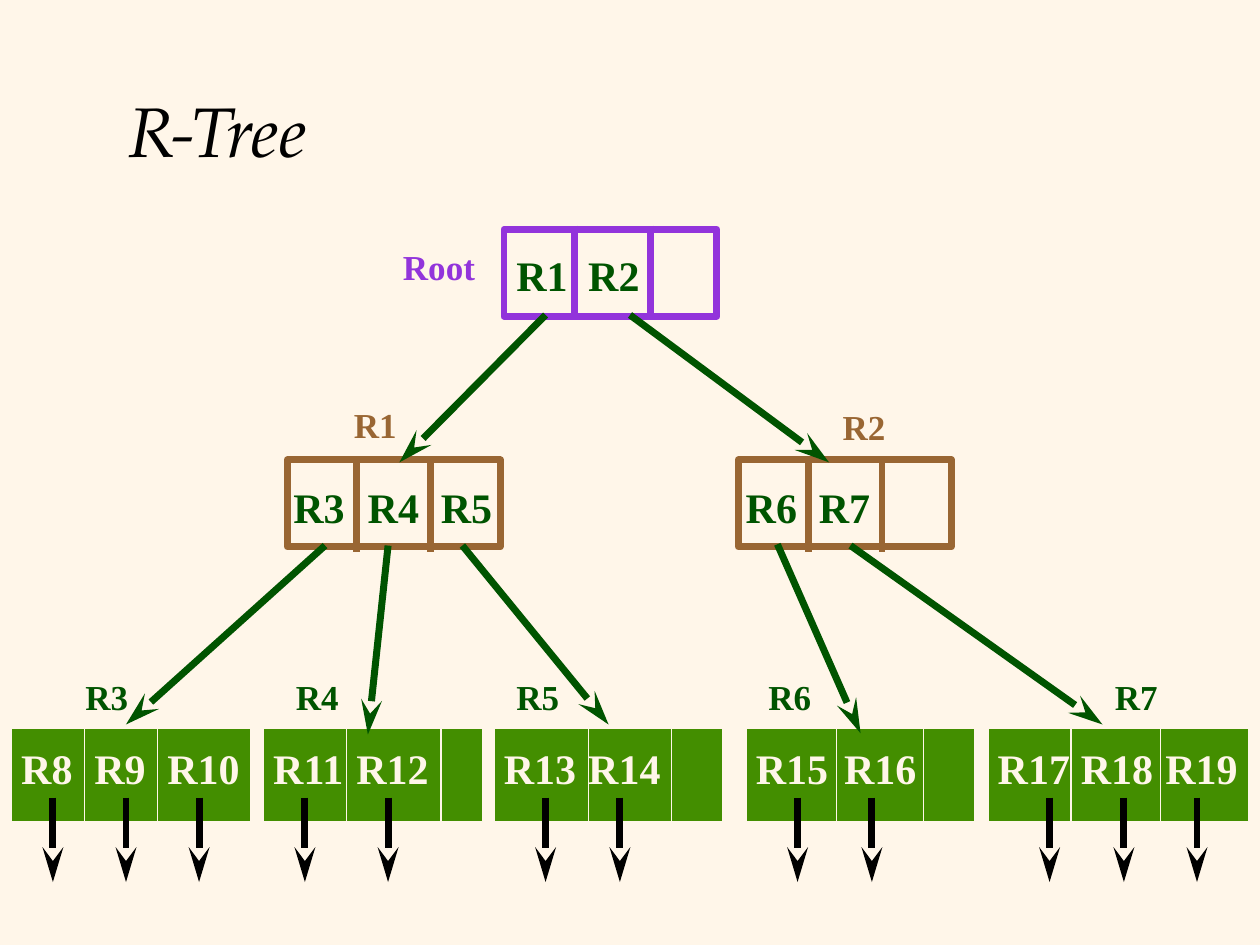
from dataclasses import dataclass

from lxml import etree
from pptx import Presentation
from pptx.dml.color import RGBColor
from pptx.enum.shapes import MSO_CONNECTOR, MSO_SHAPE
from pptx.enum.text import MSO_ANCHOR, MSO_AUTO_SIZE, PP_ALIGN
from pptx.oxml.ns import qn
from pptx.util import Inches, Pt

STRAIGHT = MSO_CONNECTOR.STRAIGHT
RECTANGLE = MSO_SHAPE.RECTANGLE
MIDDLE = MSO_ANCHOR.MIDDLE
FIT_SHAPE = MSO_AUTO_SIZE.SHAPE_TO_FIT_TEXT
LEFT = PP_ALIGN.LEFT


@dataclass(frozen=True)
class Theme:
    """Colours, fonts, type sizes and line widths of the slide."""
    cream: str = "FFF6E9"
    black: str = "000000"
    purple: str = "9234DB"
    brown: str = "996633"
    green: str = "438E00"
    dark_green: str = "005400"
    title_font: str = "TeX Gyre Pagella"
    body_font: str = "Times New Roman"
    title_size: int = 40
    entry_size: int = 24
    label_size: int = 20
    thick: float = 4
    thin: float = 1


@dataclass(frozen=True)
class Level:
    """Shared look and vertical places of the nodes on one tree level."""
    top: float
    height: float
    divider_top: float
    entry_top: float
    line: str
    weight: float
    fill: str
    entry_color: str
    label_color: str


class TreeSlide:
    """Draws tree elements on the current slide in one style."""

    def __init__(self, page, theme):
        """Keep the page and theme and paint the background."""
        self.page = page
        self.theme = theme
        page.background.fill.solid()
        page.background.fill.fore_color.rgb = RGBColor.from_string(theme.cream)

    def add_span(self, frame, text, color, **format_values):
        """Put one formatted span of text into a frame."""
        para = frame.paragraphs[0]
        para.alignment = LEFT
        span = para.add_run()
        span.text = text
        for name, value in format_values.items():
            setattr(span.font, name, value)
        span.font.color.rgb = RGBColor.from_string(color)

    def title(self, text, left, top, width, height):
        """Place the title placeholder and fill it."""
        box = self.page.shapes.title
        places = {"left": left, "top": top, "width": width, "height": height}
        for name, value in places.items():
            setattr(box, name, Inches(value))
        box.text_frame.vertical_anchor = MIDDLE
        self.add_span(box.text_frame, text, self.theme.black,
                      name=self.theme.title_font, size=Pt(self.theme.title_size),
                      italic=True, bold=False)

    def text(self, text, left, top, width, height, size, color):
        """Add a bold text box that does not wrap."""
        box = self.page.shapes.add_textbox(*map(Inches, (left, top, width, height)))
        box.text_frame.word_wrap = False
        box.text_frame.auto_size = FIT_SHAPE
        self.add_span(box.text_frame, text, color, name=self.theme.body_font,
                      size=Pt(size), bold=True)

    def entry(self, text, left, top, color):
        """Add the text of one node entry."""
        width = 0.61 if len(text) == 2 else 0.78
        self.text(text, left, top, width, 0.5, self.theme.entry_size, color)

    def label(self, text, left, top, color):
        """Add the name beside a node."""
        width = 0.54 if len(text) == 2 else 0.77
        self.text(text, left, top, width, 0.43, self.theme.label_size, color)

    def line(self, start, end, color, weight, arrow=False):
        """Add a straight line, with an arrowhead if asked."""
        connector = self.page.shapes.add_connector(
            STRAIGHT, *map(Inches, (*start, *end)))
        connector.line.color.rgb = RGBColor.from_string(color)
        connector.line.width = Pt(weight)
        if arrow:
            etree.SubElement(connector.get_or_add_ln(), qn("a:tailEnd"),
                             type="stealth", w="med", len="lg")
        etree.SubElement(connector.element.spPr, qn("a:effectLst"))

    def node(self, level, left, width, dividers):
        """Add a node frame with its dividers."""
        box = self.page.shapes.add_shape(
            RECTANGLE, *map(Inches, (left, level.top, width, level.height)))
        box.shadow.inherit = False
        if level.fill:
            box.fill.solid()
            box.fill.fore_color.rgb = RGBColor.from_string(level.fill)
        else:
            box.fill.background()
        box.line.color.rgb = RGBColor.from_string(level.line)
        box.line.width = Pt(level.weight)
        for x in dividers:
            self.line((x, level.divider_top), (x, level.divider_top + 0.75),
                      level.line, level.weight)


theme = Theme()
root = Level(1.82, 0.69, 1.79, 1.93, theme.purple, theme.thick, "",
             theme.dark_green, theme.purple)
inner = Level(3.65, 0.69, 3.63, 3.77, theme.brown, theme.thick, "",
              theme.dark_green, theme.brown)
leaf = Level(5.78, 0.74, 5.77, 5.84, theme.cream, theme.thin, theme.green,
             theme.cream, theme.dark_green)

NODES = [
    (leaf, 0.09, 1.9, (0.67, 1.25), ("R3", 0.58, 5.31),
     {"R8": 0.07, "R9": 0.65, "R10": 1.23}),
    (leaf, 2.09, 1.74, (2.75, 3.5), ("R4", 2.25, 5.31), {"R11": 2.07, "R12": 2.73}),
    (leaf, 3.92, 1.82, (4.67, 5.33), ("R5", 4, 5.31), {"R13": 3.9, "R14": 4.57}),
    (leaf, 5.92, 1.82, (6.64, 7.33), ("R6", 6, 5.31), {"R15": 5.9, "R16": 6.6}),
    (leaf, 7.84, 2.07, (8.5, 9.21), ("R7", 8.75, 5.31),
     {"R17": 7.82, "R18": 8.48, "R19": 9.15}),
    (inner, 2.28, 1.69, (2.83, 3.42), ("R1", 2.71, 3.15),
     {"R3": 2.23, "R4": 2.82, "R5": 3.4}),
    (inner, 5.86, 1.69, (6.42, 7), ("R2", 6.59, 3.17), {"R6": 5.82, "R7": 6.4}),
    (root, 4, 1.69, (4.56, 5.16), ("Root", 3.1, 1.9), {"R1": 4, "R2": 4.57}),
]
LINKS = [
    ((4.33, 2.5), (3.17, 3.67)),
    ((5, 2.5), (6.58, 3.67)),
    ((2.58, 4.33), (1, 5.75)),
    ((3.08, 4.33), (2.92, 5.83)),
    ((3.67, 4.33), (4.83, 5.75)),
    ((6.17, 4.32), (6.83, 5.82)),
    ((6.75, 4.33), (8.75, 5.75)),
]
RECORD_XS = (0.42, 1, 1.58, 2.42, 3.08, 4.33, 4.92, 6.33, 6.92, 8.33, 8.92, 9.5)

deck = Presentation()
deck.slide_width = Inches(10)
deck.slide_height = Inches(7.5)
tree = TreeSlide(deck.slides.add_slide(deck.slide_layouts[5]), theme)
tree.title("R-Tree", 0.92, 0.42, 8.5, 1.21)

for level, left, width, dividers, label, entries in NODES:
    tree.node(level, left, width, dividers)
for x in RECORD_XS:
    tree.line((x, 6.33), (x, 7), theme.black, theme.thick, arrow=True)
for start, end in LINKS:
    tree.line(start, end, theme.dark_green, theme.thick, arrow=True)
for level, left, width, dividers, label, entries in NODES:
    tree.label(*label, level.label_color)
    for name, x in entries.items():
        tree.entry(name, x, level.entry_top, level.entry_color)

deck.save("out.pptx")
